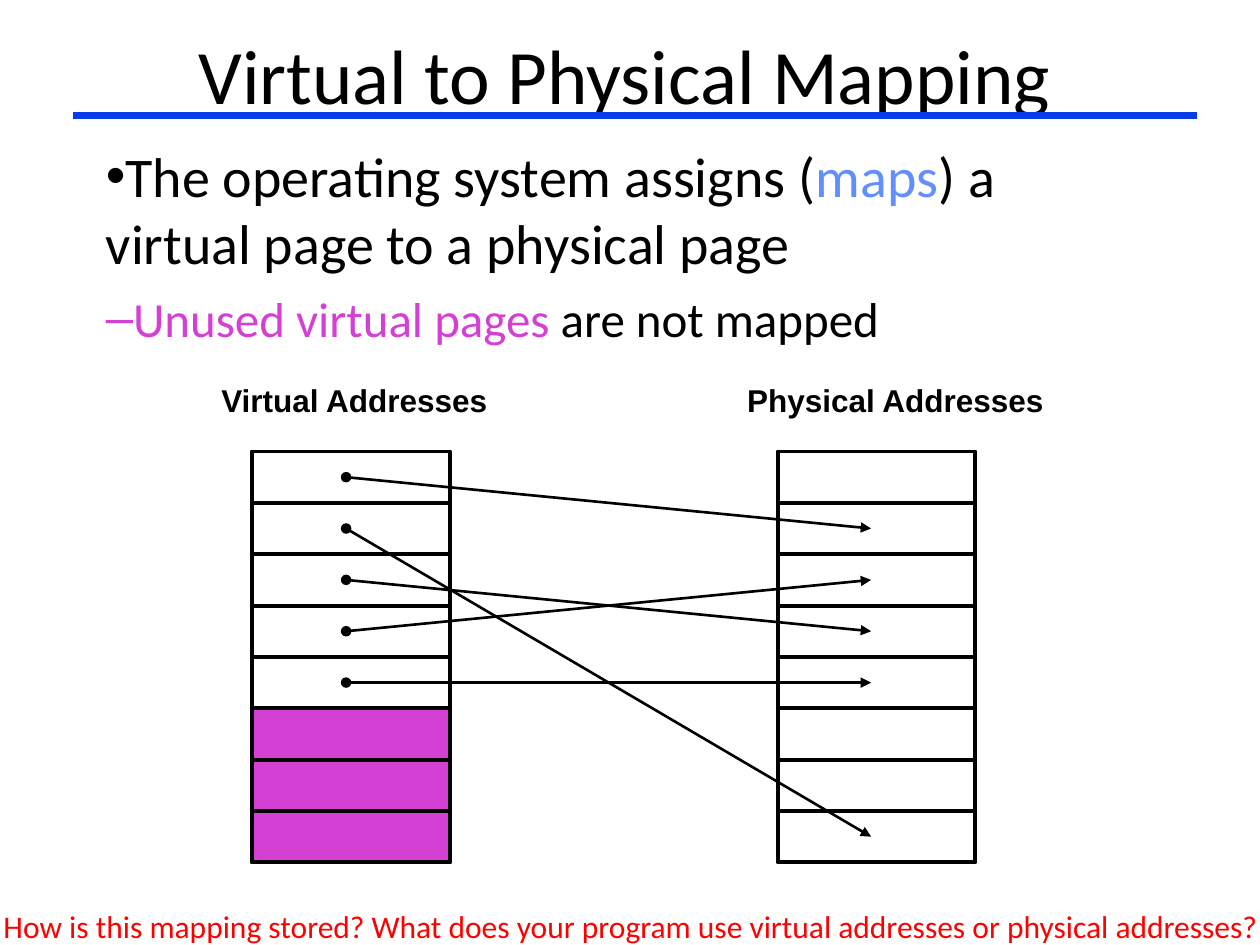
from lxml import etree
from pptx import Presentation
from pptx.dml.color import RGBColor
from pptx.enum.shapes import MSO_CONNECTOR, MSO_SHAPE
from pptx.enum.text import MSO_ANCHOR, PP_ALIGN
from pptx.oxml.ns import qn
from pptx.util import Pt

STRAIGHT = MSO_CONNECTOR.STRAIGHT
RECTANGLE, OVAL = MSO_SHAPE.RECTANGLE, MSO_SHAPE.OVAL
TOP, MIDDLE = MSO_ANCHOR.TOP, MSO_ANCHOR.MIDDLE
LEFT, CENTER = PP_ALIGN.LEFT, PP_ALIGN.CENTER

BLACK = RGBColor(0x00, 0x00, 0x00)
BLUE = RGBColor(0x06, 0x3D, 0xE8)
LIGHT_BLUE = RGBColor(0x61, 0x8F, 0xFD)
PURPLE = RGBColor(0xD4, 0x40, 0xD4)
RED = RGBColor(0xFF, 0x00, 0x00)

TITLE = "Virtual to Physical Mapping"
POINTS = [
    ("•", 32, 0, [("The operating system assigns (", BLACK), ("maps", LIGHT_BLUE),
                  (") a virtual page to a physical page", BLACK)]),
    ("–", 28, 6.8, [("Unused virtual pages", PURPLE), (" are not mapped", BLACK)]),
]
QUESTION = ("How is this mapping stored? What does your program use "
            "virtual addresses or physical addresses?")
COLUMNS = [("Virtual Addresses", 144, 166), ("Physical Addresses", 444.4, 184)]
MAPPING = [(0, 1), (1, 7), (2, 3), (3, 2), (4, 4)]
UNUSED_PAGES = [5, 6, 7]

PAGE_COUNT = 8
COLUMN_TOP, COLUMN_WIDTH, PAGE_HEIGHT = 258, 113, 29.35
COLUMN_HEIGHT = PAGE_COUNT * PAGE_HEIGHT
ARROW_START, ARROW_END = 197.8, 497.8
DOT_SIZE = 6

deck = Presentation()
deck.slide_width, deck.slide_height = Pt(720), Pt(540)
page = deck.slides.add_slide(deck.slide_layouts[6])


def add_text_box(left, top, width, height, anchor=TOP, inset=3.6):
    box = page.shapes.add_textbox(Pt(left), Pt(top), Pt(width), Pt(height))
    frame = box.text_frame
    frame.word_wrap = True
    frame.vertical_anchor = anchor
    frame.margin_left = frame.margin_right = Pt(6.5)
    frame.margin_top = frame.margin_bottom = Pt(inset)
    return frame


def add_span(para, text, size, color, font="Calibri", bold=False):
    span = para.add_run()
    span.text = text
    span.font.name, span.font.size, span.font.bold = font, Pt(size), bold
    span.font.color.rgb = color


def add_line(x1, y1, x2, y2, color=BLACK, width=2.25, arrow=False):
    line = page.shapes.add_connector(STRAIGHT, Pt(x1), Pt(y1), Pt(x2), Pt(y2))
    line.line.color.rgb = color
    line.line.width = Pt(width)
    if arrow:
        etree.SubElement(line.line._get_or_add_ln(), qn("a:tailEnd"), type="triangle")
    etree.SubElement(line._element.spPr, qn("a:effectLst"))
    return line


def add_outline(kind, left, top, width, height, fill=None, outlined=True):
    shape = page.shapes.add_shape(kind, Pt(left), Pt(top), Pt(width), Pt(height))
    shape.shadow.inherit = False
    if fill is None:
        shape.fill.background()
    else:
        shape.fill.solid()
        shape.fill.fore_color.rgb = fill
    if outlined:
        shape.line.color.rgb = BLACK
        shape.line.width = Pt(2.25)
    else:
        shape.line.fill.background()
    return shape


def add_bullet(para, character, color):
    properties = para._p.get_or_add_pPr()
    properties.set("marL", "0")
    properties.set("indent", "0")
    bullet_color = etree.SubElement(properties, qn("a:buClr"))
    etree.SubElement(bullet_color, qn("a:srgbClr"), val=str(color))
    etree.SubElement(properties, qn("a:buFont"), typeface="Arial")
    etree.SubElement(properties, qn("a:buChar"), char=character)


def page_top(index):
    return COLUMN_TOP + index * PAGE_HEIGHT


def page_middle(index):
    return page_top(index + 0.5)


title = add_text_box(60, 12, 594, 60, MIDDLE, 3).paragraphs[0]
title.alignment = CENTER
add_span(title, TITLE, 44, BLACK)

body = add_text_box(54, 78, 594, 126, inset=3)
for index, (character, size, space, spans) in enumerate(POINTS):
    para = body.add_paragraph() if index else body.paragraphs[0]
    para.level = index
    para.alignment = LEFT
    para.space_before = Pt(space)
    add_bullet(para, character, spans[0][1])
    for text, color in spans:
        add_span(para, text, size, color)

for heading, left, heading_width in COLUMNS:
    column = add_outline(RECTANGLE, left, COLUMN_TOP, COLUMN_WIDTH, COLUMN_HEIGHT)
    para = add_text_box(left - 24, 216, heading_width, 27).paragraphs[0]
    para.line_spacing = 0.93
    add_span(para, heading, 18, BLACK, "Arial", True)
    for index in range(1, PAGE_COUNT):
        y = page_top(index)
        divider = add_line(left, y, left + COLUMN_WIDTH, y)
        if index == PAGE_COUNT / 2:
            divider.begin_connect(column, 1)
            divider.end_connect(column, 3)

for virtual, physical in MAPPING:
    add_line(ARROW_START, page_middle(virtual), ARROW_END, page_middle(physical),
             width=1.5, arrow=True)

for index in UNUSED_PAGES:
    add_outline(RECTANGLE, COLUMNS[0][1], page_top(index), COLUMN_WIDTH, PAGE_HEIGHT, PURPLE)

for virtual, physical in MAPPING:
    add_outline(OVAL, ARROW_START - DOT_SIZE / 2, page_middle(virtual) - DOT_SIZE / 2,
                DOT_SIZE, DOT_SIZE, BLACK, outlined=False)

add_line(42, 66, 684, 66, BLUE, 4.5)
question = add_text_box(-4.5, 515, 741, 28).paragraphs[0]
add_span(question, QUESTION, 18, RED)

deck.save("out.pptx")
